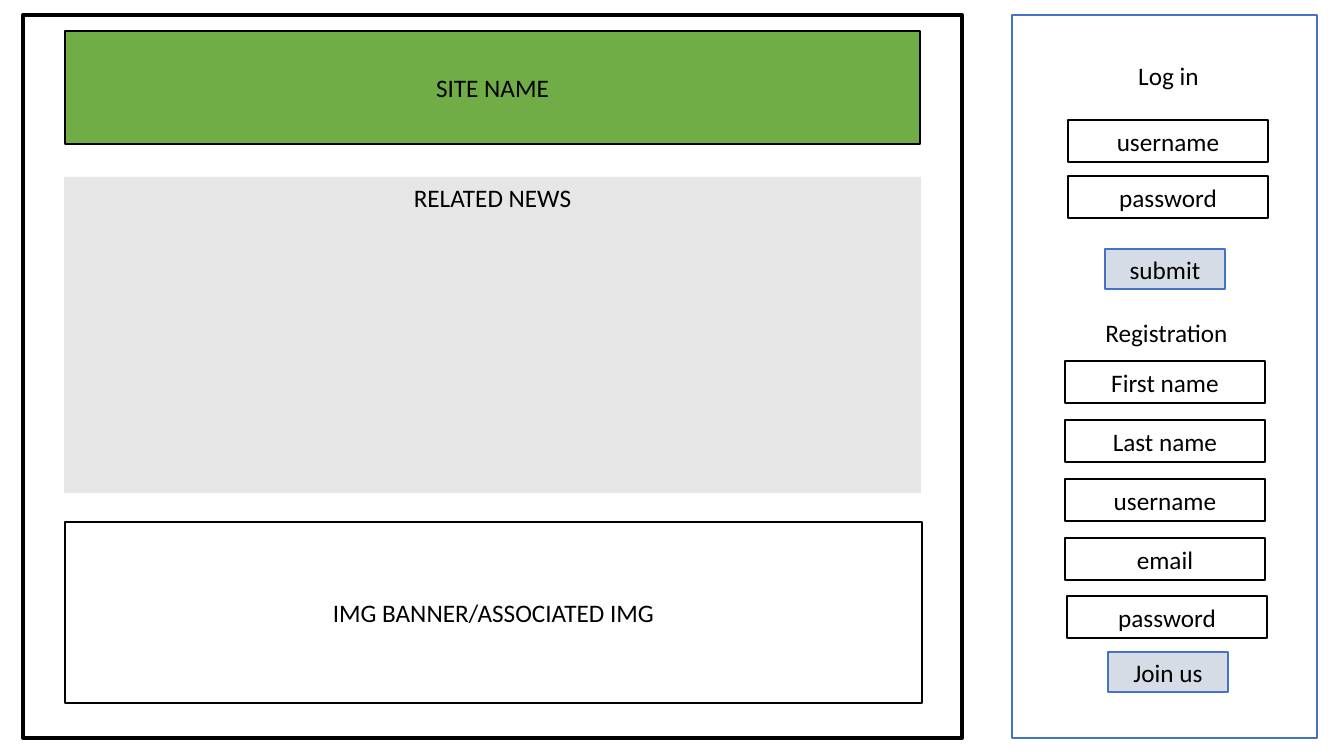
from dataclasses import dataclass

from pptx import Presentation
from pptx.dml.color import RGBColor
from pptx.enum.shapes import MSO_SHAPE as Preset
from pptx.enum.text import MSO_ANCHOR as Anchor, PP_ALIGN as Align
from pptx.util import Pt

EMU_PER_PIXEL = 914400 / 100.8


@dataclass(frozen=True)
class Theme:
    font: str = "Calibri"
    text_size: int = 18
    ink: str = "000000"
    paper: str = "FFFFFF"
    accent: str = "4472C4"
    header: str = "70AD47"
    news: str = "E7E6E6"
    button: str = "D6DCE5"
    thin: int = 1
    thick: int = 3


THEME = Theme()


def px(length):
    return round(length * EMU_PER_PIXEL)


def color(code):
    return RGBColor.from_string(code)


def within(box, left, top, width, height):
    return box[0] + left, box[1] + top, width, height


def write(holder, wording, anchor):
    frame = holder.text_frame
    frame.word_wrap = True
    frame.vertical_anchor = anchor
    paragraph = frame.paragraphs[0]
    paragraph.alignment = Align.CENTER
    run = paragraph.add_run()
    run.text = wording
    run.font.name = THEME.font
    run.font.size = Pt(THEME.text_size)
    run.font.color.rgb = color(THEME.ink)


def add_block(slide, box, wording="", fill=THEME.paper, line=THEME.ink,
              weight=THEME.thin, anchor=Anchor.MIDDLE):
    block = slide.shapes.add_shape(Preset.RECTANGLE, *map(px, box))
    block.shadow.inherit = False
    block.fill.solid()
    block.fill.fore_color.rgb = color(fill)
    if line:
        block.line.color.rgb = color(line)
        block.line.width = Pt(weight)
    else:
        block.line.fill.background()
    if wording:
        write(block, wording, anchor)


def add_heading(slide, box, wording):
    write(slide.shapes.add_textbox(*map(px, box)), wording, Anchor.TOP)


def add_fields(slide, box, left, top, pitch, labels):
    for row, label in enumerate(labels):
        add_block(slide, within(box, left, top + row * pitch, 200, 42), label)


def add_button(slide, box, left, top, label):
    add_block(slide, within(box, left, top, 120, 40), label,
              fill=THEME.button, line=THEME.accent)


def build_site(slide, box):
    add_block(slide, box, weight=THEME.thick)
    add_block(slide, within(box, 42, 16, 855, 113), "SITE NAME", fill=THEME.header)
    add_block(slide, within(box, 41, 162, 857, 316), "RELATED NEWS",
              fill=THEME.news, line=None, anchor=Anchor.TOP)
    add_block(slide, within(box, 42, 507, 857, 181), "IMG BANNER/ASSOCIATED IMG")


def build_login(slide, box):
    add_heading(slide, within(box, 44, 40, 225, 40), "Log in")
    add_fields(slide, box, 56, 105, 56, ["username", "password"])
    add_button(slide, box, 93, 234, "submit")


def build_registration(slide, box):
    add_heading(slide, within(box, 53, 0, 203, 40), "Registration")
    add_fields(slide, box, 53, 49, 59, ["First name", "Last name", "username", "email"])
    add_fields(slide, box, 55, 284, 59, ["password"])
    add_button(slide, box, 96, 340, "Join us")


def build_account(slide, box):
    add_block(slide, box, line=THEME.accent)
    build_login(slide, within(box, 0, 0, 305, 297))
    build_registration(slide, within(box, 0, 297, 305, 426))


deck = Presentation()
deck.slide_width = px(1344)
deck.slide_height = px(756)
wireframe = deck.slides.add_slide(deck.slide_layouts[6])
build_site(wireframe, (23, 15, 939, 723))
build_account(wireframe, (1012, 15, 305, 723))
deck.save("out.pptx")
